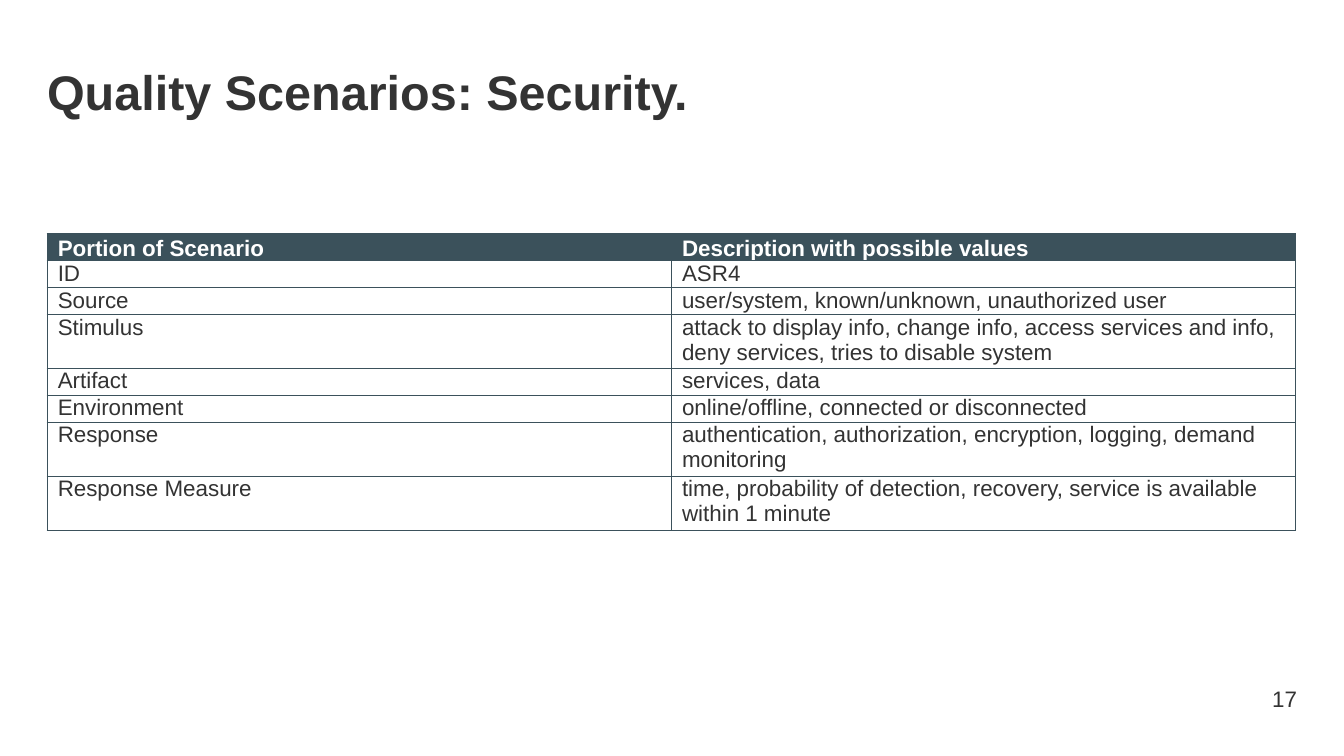
"""Build the security quality scenario slide with its table."""
import pptx
import pptx.util
import pptx.dml.color
import pptx.enum.text
import lxml.etree
from pptx.util import Inches, Pt

COLORS = {"ink": "333333", "slate": "3B515B", "white": "FFFFFF"}
ANCHOR = pptx.enum.text.MSO_ANCHOR
ALIGN = pptx.enum.text.PP_ALIGN
NS = "http://schemas.openxmlformats.org/drawingml/2006/main"


def add_run(paragraph, text, size, color, bold=False):
    run = paragraph.add_run()
    run.text = text
    run.font.name = "Arial"
    run.font.size = Pt(size)
    run.font.bold = bold
    run.font.color.rgb = pptx.dml.color.RGBColor.from_string(COLORS[color])


def add_borders(cell, color, width):
    properties = cell._tc.get_or_add_tcPr()
    for position, side in enumerate(("lnL", "lnR", "lnT", "lnB")):
        line = lxml.etree.Element(f"{{{NS}}}{side}", w=str(Pt(width)))
        fill = lxml.etree.SubElement(line, f"{{{NS}}}solidFill")
        lxml.etree.SubElement(fill, f"{{{NS}}}srgbClr", val=COLORS[color])
        properties.insert(position, line)


presentation = pptx.Presentation()
presentation.slide_width = Inches(10)
presentation.slide_height = Inches(10) * 9 // 16
slide = presentation.slides.add_slide(presentation.slide_layouts[6])

page_number = slide.shapes.add_textbox(Inches(8.93), Inches(5.05), Inches(0.72), Inches(0.3)).text_frame
page_number.word_wrap = True
page_number.vertical_anchor = ANCHOR.MIDDLE
page_number.margin_right = 0
page_number.paragraphs[0].alignment = ALIGN.RIGHT
add_run(page_number.paragraphs[0], "17", 12, "ink")

title = slide.shapes.add_textbox(Inches(0.35), Inches(0.37), Inches(9.29), Inches(0.63)).text_frame
title.word_wrap = True
title.vertical_anchor = ANCHOR.TOP
title.margin_left = 0
title.paragraphs[0].line_spacing = 1.1
add_run(title.paragraphs[0], "Quality Scenarios: Security.", 26, "ink", True)

scenario = [
    ("Portion of Scenario", "Description with possible values"),
    ("ID", "ASR4"),
    ("Source", "user/system, known/unknown, unauthorized user"),
    ("Stimulus", "attack to display info, change info, access services and info, "
                 "deny services, tries to disable system"),
    ("Artifact", "services, data"),
    ("Environment", "online/offline, connected or disconnected"),
    ("Response", "authentication, authorization, encryption, logging, demand monitoring"),
    ("Response Measure", "time, probability of detection, recovery, service is available "
                         "within 1 minute"),
]
scenario_frame = slide.shapes.add_table(len(scenario), 2, Inches(0.35), Inches(1.74),
                                        Inches(9.29), Inches(2.2))
table = scenario_frame.table
table.horz_banding = False
for row, entries in enumerate(scenario):
    is_header = row == 0
    table.rows[row].height = Inches(0)
    for column, text in enumerate(entries):
        cell = table.cell(row, column)
        cell.margin_left = cell.margin_right = Inches(0.08)
        cell.margin_top = cell.margin_bottom = 0
        cell.vertical_anchor = ANCHOR.BOTTOM if is_header else ANCHOR.TOP
        if is_header:
            cell.fill.solid()
            cell.fill.fore_color.rgb = pptx.dml.color.RGBColor.from_string(COLORS["slate"])
        else:
            cell.fill.background()
        add_borders(cell, "slate", 0.5)
        paragraph = cell.text_frame.paragraphs[0]
        paragraph.space_after = Pt(1.8 if is_header else 10)
        add_run(paragraph, text, 12, "white" if is_header else "ink", is_header)
scenario_frame.height = Inches(2.2)

presentation.save("out.pptx")
